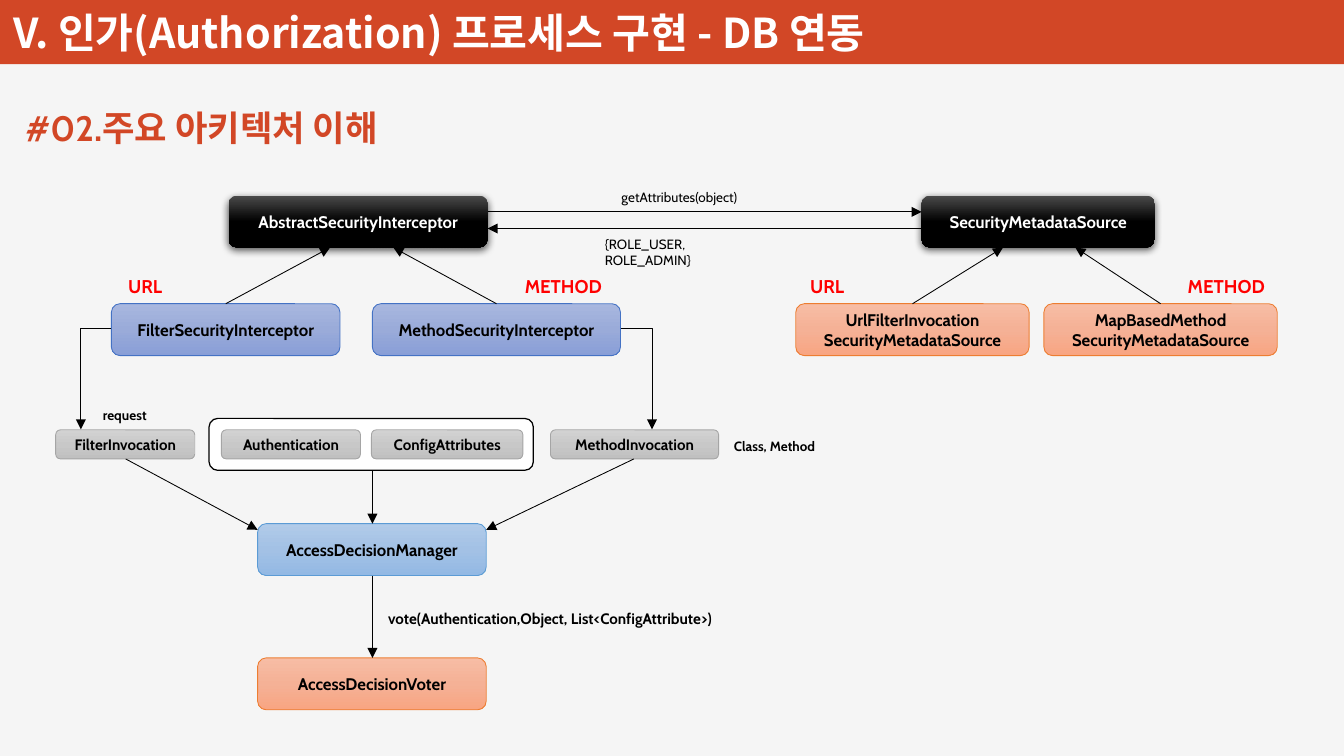
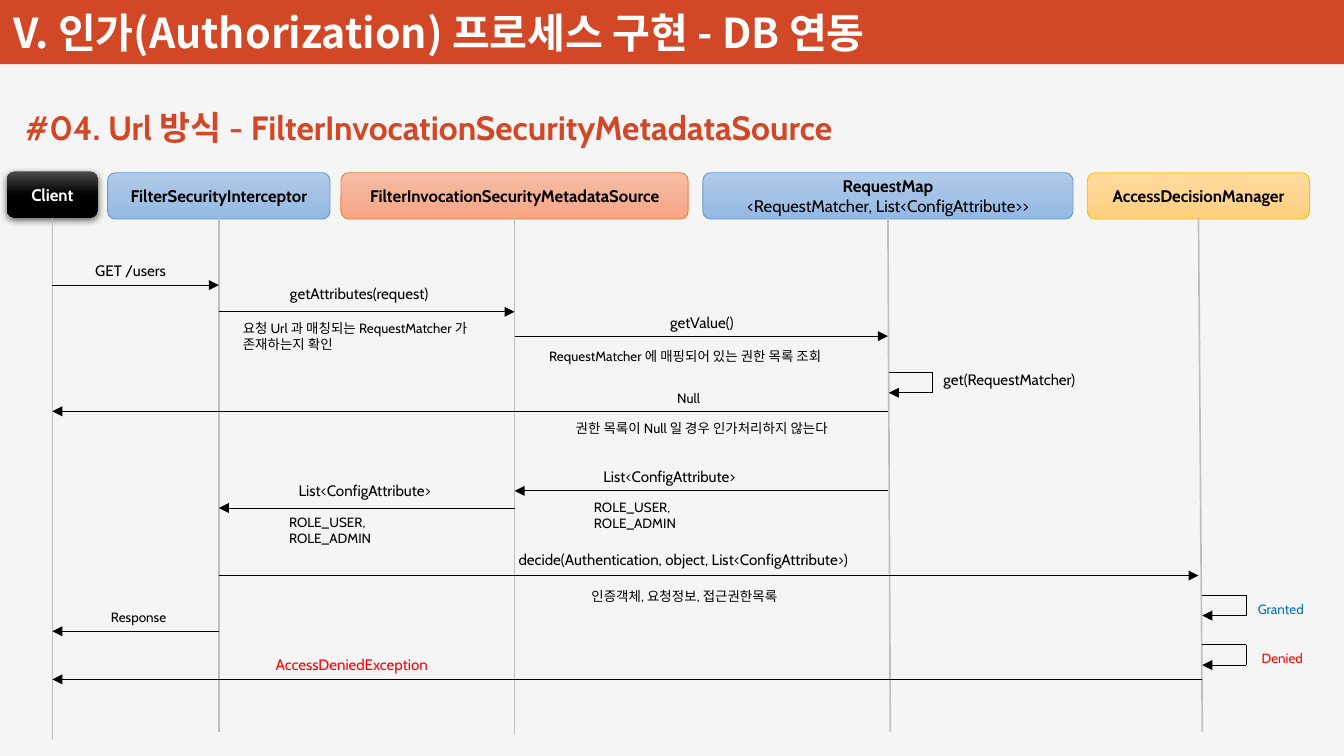
from dataclasses import dataclass
from typing import Any

from pptx import Presentation
from pptx.dml.color import RGBColor
from pptx.enum.shapes import MSO_CONNECTOR, MSO_SHAPE
from pptx.enum.text import MSO_ANCHOR, MSO_AUTO_SIZE, PP_ALIGN
from pptx.oxml import parse_xml
from pptx.oxml.ns import nsdecls, qn
from pptx.util import Cm, Pt

RECT, ROUND = MSO_SHAPE.RECTANGLE, MSO_SHAPE.ROUNDED_RECTANGLE
STRAIGHT, ELBOW = MSO_CONNECTOR.STRAIGHT, MSO_CONNECTOR.ELBOW
TOP, MIDDLE, BOTTOM = MSO_ANCHOR.TOP, MSO_ANCHOR.MIDDLE, MSO_ANCHOR.BOTTOM
LEFT, CENTER = PP_ALIGN.LEFT, PP_ALIGN.CENTER
NO_FIT = MSO_AUTO_SIZE.NONE

LATIN, KOREAN = "Cabin", "Noto Sans CJK KR"
WHITE = RGBColor(0xFF, 0xFF, 0xFF)
BLACK = RGBColor(0, 0, 0)
PAPER = RGBColor(0xF5, 0xF5, 0xF5)
BRICK = RGBColor(0xD2, 0x47, 0x26)
RED = RGBColor(0xFF, 0, 0)
BLUE = RGBColor(0, 0x70, 0xC0)
SILVER = RGBColor(0xBF, 0xBF, 0xBF)

STYLES = {
    "black": (("4B4B4B", "000000", "000000"), None, WHITE),
    "indigo": (("A8B7DF", "9AABD9", "889ED7"), RGBColor(0x44, 0x72, 0xC4), BLACK),
    "orange": (("F7BDA5", "F5B196", "F8A582"), RGBColor(0xED, 0x7D, 0x31), BLACK),
    "blue": (("B1CBE9", "A3C1E5", "93B9E4"), RGBColor(0x5B, 0x9B, 0xD5), BLACK),
    "grey": (("D2D2D2", "C8C8C8", "C0C0C0"), RGBColor(0xA5, 0xA5, 0xA5), BLACK),
    "gold": (("FFDB9E", "FFD590", "FFD07C"), RGBColor(0xFF, 0xC0, 0), BLACK),
}
NODE_HEIGHT = 1.09
HEAD_HEIGHT = 0.97


def write(shape, lines, align=LEFT, anchor=TOP, detail=None, name=LATIN, **font):
    """Fill a shape with one paragraph per line and an optional light last line."""
    frame = shape.text_frame
    for key, value in dict(word_wrap=True, auto_size=NO_FIT, vertical_anchor=anchor).items():
        setattr(frame, key, value)
    color = font.pop("color")
    rows = [(line, font) for line in lines]
    if detail:
        rows.append((detail, {**font, "bold": False}))
    for index, (line, look) in enumerate(rows):
        para = frame.add_paragraph() if index else frame.paragraphs[0]
        para.alignment = align
        span = para.add_run()
        span.text = line
        for key, value in {**look, "name": name}.items():
            setattr(span.font, key, value)
        span.font.color.rgb = color
    for latin in list(shape.element.iter(qn("a:latin"))):
        latin.addnext(parse_xml(f'<a:ea {nsdecls("a")} typeface="{KOREAN}"/>'))


def shade(shape, stops):
    """Give a shape a vertical gradient of evenly spaced stops."""
    marks = "".join(
        f'<a:gs pos="{index * 50000}"><a:srgbClr val="{stop}"/></a:gs>'
        for index, stop in enumerate(stops)
    )
    shape.element.spPr.find(qn("a:prstGeom")).addnext(parse_xml(
        f'<a:gradFill {nsdecls("a")} rotWithShape="1"><a:gsLst>{marks}</a:gsLst>'
        '<a:lin ang="5400000" scaled="0"/></a:gradFill>'
    ))


def cast_shadow(shape):
    """Give a shape a soft shadow below it."""
    shape.element.spPr.find(qn("a:effectLst")).append(parse_xml(
        f'<a:outerShdw {nsdecls("a")} blurRad="57150" dist="19050" dir="5400000" '
        'algn="ctr" rotWithShape="0"><a:srgbClr val="000000"><a:alpha val="63000"/>'
        '</a:srgbClr></a:outerShdw>'
    ))


@dataclass
class Region:
    """A part of a page whose pieces are placed in cm from its corner."""

    page: Any
    left: float
    top: float

    def place(self, x, y):
        """Turn a point of the region into a point of the page."""
        return Cm(self.left + x), Cm(self.top + y)

    def node(self, x, y, width, height, style, *lines, size=10, detail=None):
        """Draw a rounded, shaded box with a bold centred name."""
        stops, edge, ink = STYLES[style]
        box = self.page.shapes.add_shape(ROUND, *self.place(x, y), Cm(width), Cm(height))
        shade(box, stops)
        box.shadow.inherit = False
        if edge:
            box.line.color.rgb = edge
            box.line.width = Pt(0.5)
        else:
            box.line.fill.background()
            cast_shadow(box)
        write(box, lines, CENTER, MIDDLE, detail, size=Pt(size), bold=True, color=ink)

    def label(self, x, y, width, *lines, size=8, bold=False, color=BLACK):
        """Place a free text label."""
        box = self.page.shapes.add_textbox(*self.place(x, y), Cm(width), Cm(0.24 + 0.37 * len(lines)))
        write(box, lines, size=Pt(size), bold=bold, color=color)

    def link(self, start, end, kind=STRAIGHT, arrow=True, color=BLACK, width=0.5):
        """Draw a line or arrow; an elbow turns once, sideways then down."""
        line = self.page.shapes.add_connector(kind, *self.place(*start), *self.place(*end))
        line.line.color.rgb = color
        line.line.width = Pt(width)
        properties = line.element.spPr
        if kind == ELBOW:
            properties.find(qn("a:prstGeom")).set("prst", "bentConnector2")
        if arrow:
            properties.find(qn("a:ln")).append(
                parse_xml(f'<a:tailEnd {nsdecls("a")} type="triangle"/>'))
        properties.append(parse_xml(f'<a:effectLst {nsdecls("a")}/>'))


def dress_layout(deck, layout, page):
    """Put the background, band and chapter name on the layout."""
    deck.slide_master.background.fill.solid()
    deck.slide_master.background.fill.fore_color.rgb = PAPER
    for holder in list(layout.placeholders)[1:]:
        holder.element.getparent().remove(holder.element)
    band = page.shapes.add_shape(RECT, 0, 0, deck.slide_width, Cm(1.35))
    band.fill.solid()
    band.fill.fore_color.rgb = BRICK
    band.line.fill.background()
    band.shadow.inherit = False
    chapter = page.shapes.add_textbox(Cm(0.03), Cm(-0.25), Cm(20.32), Cm(1.55))
    write(chapter, ["V. 인가(Authorization) 프로세스 구현 - DB 연동"], anchor=BOTTOM,
          name=KOREAN, size=Pt(24.5), bold=True, color=WHITE)
    chapter.text_frame.margin_bottom = Cm(0.1)
    for part in (band, chapter):
        layout.shapes.element.append(part.element)


def set_title(page, text, size):
    """Move and format the title placeholder."""
    title = page.shapes.title
    place = dict(left=Cm(0.28), top=Cm(2.11), width=Cm(20), height=Cm(1.13))
    for key, value in place.items():
        setattr(title, key, value)
    write(title, [text], size=Pt(size), bold=True, color=BRICK)


def draw_family(region, style, parent, children, tips, tags):
    """Draw a parent type with its URL and METHOD subtypes below."""
    x, width, name = parent
    region.node(x, 0, width, NODE_HEIGHT, "black", name)
    row = 2.27
    for (x, width, lines), tip, tag_x, tag in zip(children, tips, tags, ("URL", "METHOD")):
        region.node(x, row, width, NODE_HEIGHT, style, *lines)
        region.link((x + width / 2, row), (tip, NODE_HEIGHT))
        region.label(tag_x, 1.54, 2.2, tag, size=11, bold=True, color=RED)


def draw_exchange(region, span):
    """Draw the call and reply between the two parent types."""
    region.link((0, 0.34), (span, 0.34))
    region.link((span, 0.69), (0, 0.69))
    region.label(2.56, -0.27, 3.2, "getAttributes(object)")
    region.label(2.21, 0.72, 3.96, "{ROLE_USER,", "ROLE_ADMIN}")


def draw_decision(region):
    """Draw the inputs, the decision manager and the voter."""
    tray = region.page.shapes.add_shape(ROUND, *region.place(3.22, 0.36), Cm(6.81), Cm(NODE_HEIGHT))
    tray.fill.solid()
    tray.fill.fore_color.rgb = WHITE
    tray.line.color.rgb = BLACK
    tray.line.width = Pt(0.75)
    tray.shadow.inherit = False
    inputs = [
        (0, 2.92, "FilterInvocation"), (3.48, 2.92, "Authentication"),
        (6.63, 3.18, "ConfigAttributes"), (10.39, 3.53, "MethodInvocation"),
    ]
    for x, width, name in inputs:
        region.node(x, 0.6, width, 0.61, "grey", name, size=9)
    region.node(4.24, 2.57, 4.8, NODE_HEIGHT, "blue", "AccessDecisionManager")
    region.node(4.24, 5.39, 4.8, NODE_HEIGHT, "orange", "AccessDecisionVoter")
    arrows = [
        ((6.65, 1.45), (6.65, 2.57)), ((6.65, 3.66), (6.65, 5.39)),
        ((1.47, 1.21), (4.24, 2.7)), ((12.14, 1.21), (9.04, 2.7)),
    ]
    for start, end in arrows:
        region.link(start, end)
    region.link((1.17, -1.52), (0.53, 0.59), ELBOW)
    region.link((11.86, -1.52), (12.52, 0.59), ELBOW)
    region.label(0.74, 0, 1.6, "request", bold=True)
    region.label(13.99, 0.64, 2.5, "Class, Method", bold=True)
    region.label(6.73, 4.24, 8.38, "vote(Authentication,Object, List<ConfigAttribute>)",
                 size=9, bold=True)


def draw_architecture(page):
    """Build the architecture slide."""
    set_title(page, "#02.주요 아키텍처 이해", 21)
    draw_family(
        Region(page, 2.34, 4.11), "indigo", (2.46, 5.44, "AbstractSecurityInterceptor"),
        [(0, 4.8, ["FilterSecurityInterceptor"]), (5.48, 5.21, ["MethodSecurityInterceptor"])],
        (4.59, 5.92), (0.1, 8.43))
    draw_family(
        Region(page, 16.71, 4.11), "orange", (2.64, 4.9, "SecurityMetadataSource"),
        [(0, 4.9, ["UrlFilterInvocation", "SecurityMetadataSource"]),
         (5.21, 4.9, ["MapBasedMethod", "SecurityMetadataSource"])],
        (4.35, 5.87), (0.05, 7.98))
    draw_exchange(Region(page, 10.24, 4.11), 9.11)
    draw_decision(Region(page, 1.17, 8.43))


def draw_lifelines(region):
    """Draw the participants with their lifelines and return the line positions."""
    heads = [
        (0, 1.9, "black", "Client", None, 11.94, 0),
        (2.11, 4.67, "blue", "FilterSecurityInterceptor", None, 11.77, 0),
        (7.01, 7.29, "orange", "FilterInvocationSecurityMetadataSource", None, 11.82, 0),
        (14.61, 7.77, "blue", "RequestMap", "<RequestMatcher, List<ConfigAttribute>>", 11.77, 0.05),
        (22.68, 4.67, "gold", "AccessDecisionManager", None, 11.77, 0.08),
    ]
    centers = []
    for x, width, style, name, detail, foot, lean in heads:
        center = x + width / 2
        region.node(x, 0 if style == "black" else 0.03, width, HEAD_HEIGHT, style, name, detail=detail)
        region.link((center, HEAD_HEIGHT), (center + lean, foot), arrow=False, color=SILVER, width=1)
        centers.append(center)
    return centers


def draw_self_call(region, x, y):
    """Draw a call that leaves a lifeline and comes back to it."""
    corners = [(x, y), (x + 0.92, y), (x + 0.92, y + 0.43), (x, y + 0.43)]
    for index, (start, end) in enumerate(zip(corners, corners[1:])):
        region.link(start, end, arrow=index == 2)


def draw_sequence(page):
    """Build the sequence slide."""
    set_title(page, "#04. Url 방식 - FilterInvocationSecurityMetadataSource", 20)
    region = Region(page, 0.15, 3.6)
    client, interceptor, source, request_map, manager = draw_lifelines(region)
    messages = [
        (client, interceptor, 2.39), (interceptor, source, 2.95), (source, request_map, 3.46),
        (request_map, client, 5.04), (request_map, source, 6.71), (source, interceptor, 7.07),
        (interceptor, manager, 8.49), (interceptor, client, 9.66), (manager + 0.08, client, 10.67),
    ]
    for start, end, y in messages:
        region.link((start, y), (end, y))
    for x, y in [(request_map + 0.02, 4.22), (manager + 0.08, 8.9), (manager + 0.08, 9.94)]:
        draw_self_call(region, x, y)
    calls = [
        (1.6, 1.76, 2.2, "GET /users"),
        (5.69, 2.24, 3.63, "getAttributes(request)"),
        (13.67, 2.85, 2.2, "getValue()"),
        (19.41, 4.05, 3.6, "get(RequestMatcher)"),
        (12.27, 6.1, 3.61, "List<ConfigAttribute>"),
        (5.87, 6.38, 3.61, "List<ConfigAttribute>"),
        (10.49, 7.83, 8, "decide(Authentication, object, List<ConfigAttribute>)"),
    ]
    for call in calls:
        region.label(*call, size=9)
    notes = [
        (4.7, 3, 6, "요청 Url 과 매칭되는 RequestMatcher 가", "존재하는지 확인"),
        (11.13, 3.59, 6.76, "RequestMatcher 에 매핑되어 있는 권한 목록 조회"),
        (13.82, 4.48, 1.3, "Null"),
        (11.69, 5.09, 6.5, "권한 목록이 Null 일 경우 인가처리하지 않는다"),
        (12.07, 6.76, 3.81, "ROLE_USER,", "ROLE_ADMIN"),
        (5.67, 7.07, 3.81, "ROLE_USER,", "ROLE_ADMIN"),
        (12.02, 8.62, 5, "인증객체, 요청정보, 접근권한목록"),
        (1.93, 9.07, 1.95, "Response"),
    ]
    for note in notes:
        region.label(*note)
    region.label(26.01, 8.9, 1.7, "Granted", color=BLUE)
    region.label(26.09, 9.94, 1.6, "Denied", color=RED)
    region.label(5.39, 10.04, 4, "AccessDeniedException", size=9, color=RED)


def main():
    """Build and save the deck."""
    deck = Presentation()
    deck.slide_width, deck.slide_height = Cm(28.22), Cm(15.88)
    layout = deck.slide_layouts[5]
    pages = [deck.slides.add_slide(layout) for _ in range(2)]
    dress_layout(deck, layout, pages[0])
    draw_architecture(pages[0])
    draw_sequence(pages[1])
    deck.save("out.pptx")


if __name__ == "__main__":
    main()
